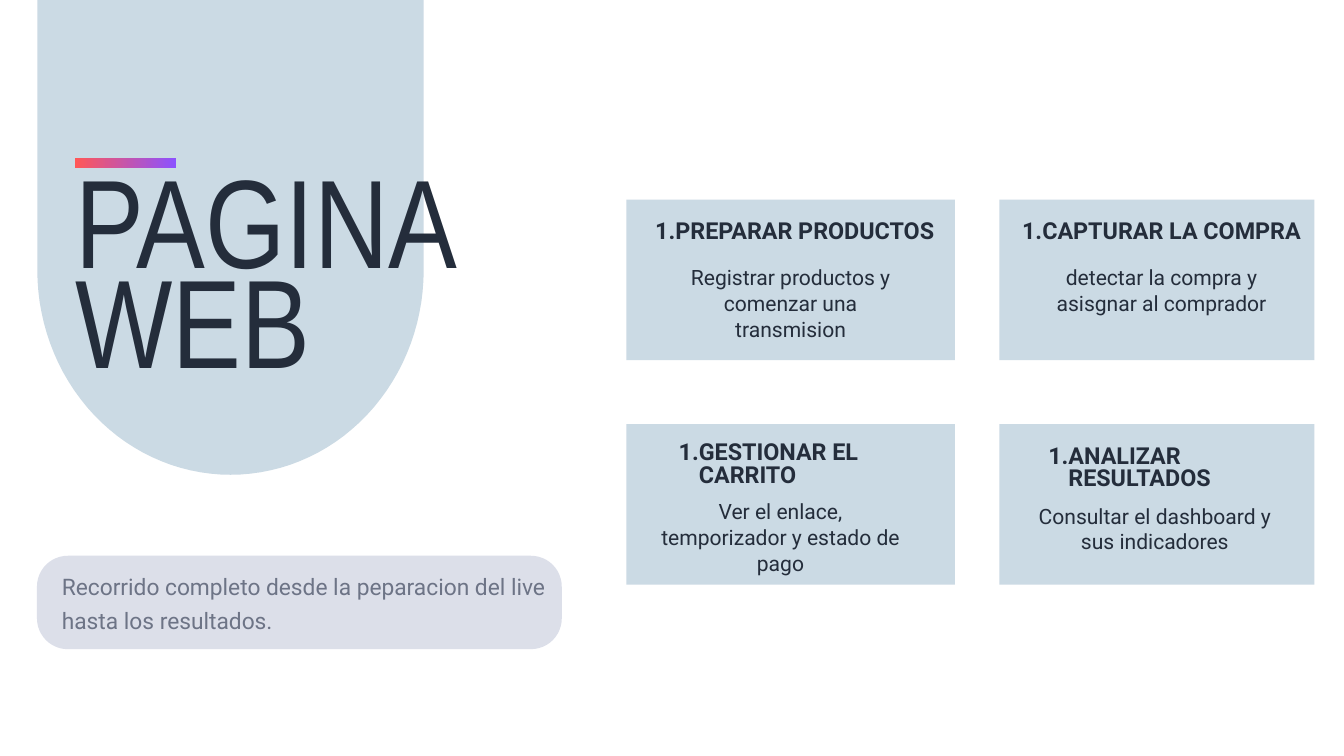
from dataclasses import dataclass
from math import cos, pi, sin

from lxml.etree import SubElement
from pptx import Presentation
from pptx.dml.color import RGBColor
from pptx.enum.shapes import MSO_SHAPE
from pptx.enum.text import MSO_AUTO_SIZE, PP_ALIGN
from pptx.oxml.ns import qn
from pptx.util import Inches, Pt


@dataclass(frozen=True)
class TextStyle:
    font: str
    size: float
    leading: float
    bold: bool = False
    align: PP_ALIGN = PP_ALIGN.LEFT
    numbered: bool = False


@dataclass(frozen=True)
class Theme:
    ink: str = "242D3B"
    panel: str = "CBDAE4"
    pill: str = "B9BED4"
    pill_opacity: int = 49
    accent: tuple = ("FF5757", "8C52FF")
    title: TextStyle = TextStyle("Arial Narrow", 134.8, 107.8)
    summary: TextStyle = TextStyle("Roboto", 24.4, 36.6)
    heading: TextStyle = TextStyle("Roboto", 25, 24.3, bold=True, numbered=True)
    body: TextStyle = TextStyle("Roboto", 22.6, 27.6, align=PP_ALIGN.CENTER)


@dataclass(frozen=True)
class Area:
    column: float
    row: float
    columns: float
    rows: float

    def lengths(self) -> list:
        return [Inches(n * CELL) for n in (self.column, self.row, self.columns, self.rows)]


@dataclass(frozen=True)
class Step:
    column: int
    row: int
    heading: str
    heading_area: Area
    body: str
    body_area: Area


CELL = 1
GRID_COLUMNS, GRID_ROWS = 20, 11.25
THEME = Theme()
CARD_COLUMNS = ((9.32, 4.89), (14.87, 4.69))
CARD_ROWS = (2.97, 6.31)
CARD_HEIGHT = 2.39

STEPS = (
    Step(0, 0, "PREPARAR PRODUCTOS", Area(9.46, 3.3, 4.61, 0.36),
         "Registrar productos y comenzar una transmision", Area(9.93, 3.93, 3.67, 1.14)),
    Step(1, 0, "CAPTURAR LA COMPRA", Area(14.92, 3.3, 4.48, 0.36),
         "detectar la compra y asisgnar al comprador", Area(15.45, 3.93, 3.67, 0.77)),
    Step(0, 1, "GESTIONAR EL CARRITO", Area(9.81, 6.59, 4.25, 0.69),
         "Ver el enlace, temporizador y estado de pago", Area(9.78, 7.41, 3.67, 1.14)),
    Step(1, 1, "ANALIZAR RESULTADOS", Area(15.31, 6.64, 4.25, 0.69),
         "Consultar el dashboard y sus indicadores", Area(15.35, 7.48, 3.67, 0.77)),
)


def paint(shape, color: str) -> None:
    shape.shadow.inherit = False
    shape.line.fill.background()
    shape.fill.solid()
    shape.fill.fore_color.rgb = RGBColor.from_string(color)


def add_panel(page, area: Area, color: str, kind=MSO_SHAPE.RECTANGLE):
    panel = page.shapes.add_shape(kind, *area.lengths())
    paint(panel, color)
    return panel


def add_capsule(page, area: Area, end_columns: float, steps: int = 60) -> None:
    half_height = area.rows / 2
    middle = area.row + half_height
    ends = ((area.column + area.columns - end_columns, -pi / 2),
            (area.column + end_columns, pi / 2))
    points = [
        (center + end_columns * cos(start + pi * i / steps),
         middle + half_height * sin(start + pi * i / steps))
        for center, start in ends
        for i in range(steps + 1)
    ]
    builder = page.shapes.build_freeform(*points[0], scale=Inches(CELL))
    builder = page.shapes.build_freeform(
        round(points[0][0] * 1000), round(points[0][1] * 1000), scale=Inches(CELL) / 1000)
    builder.add_line_segments([(round(x * 1000), round(y * 1000)) for x, y in points[1:]])
    capsule = builder.convert_to_shape()
    capsule.rotation = 270
    paint(capsule, THEME.panel)


def add_accent(page, area: Area) -> None:
    accent = add_panel(page, area, THEME.accent[0])
    accent.fill.gradient()
    accent.fill.gradient_angle = 0
    for stop, color in zip(accent.fill.gradient_stops, THEME.accent):
        stop.color.rgb = RGBColor.from_string(color)


def add_pill(page, area: Area) -> None:
    pill = add_panel(page, area, THEME.pill, MSO_SHAPE.ROUNDED_RECTANGLE)
    pill.adjustments[0] = 0.33
    color = next(pill.fill._xPr.iter(qn("a:srgbClr")))
    SubElement(color, qn("a:alpha"), val=str(THEME.pill_opacity * 1000))


def add_text(page, area: Area, text: str, style: TextStyle) -> None:
    box = page.shapes.add_textbox(*area.lengths())
    frame = box.text_frame
    frame.margin_left = frame.margin_top = frame.margin_right = frame.margin_bottom = 0
    frame.word_wrap = True
    frame.auto_size = MSO_AUTO_SIZE.SHAPE_TO_FIT_TEXT
    frame.text = text
    para = frame.paragraphs[0]
    para.alignment = style.align
    para.line_spacing = Pt(style.leading)
    if style.numbered:
        para.level = 1
        properties = para._p.get_or_add_pPr()
        properties.set("marL", str(Inches(0.59)))
        properties.set("indent", str(Inches(-0.3)))
        SubElement(properties, qn("a:buAutoNum"), type="arabicPeriod")
    for span in para.runs:
        span.font.name = style.font
        span.font.size = Pt(style.size)
        span.font.bold = style.bold
        span.font.color.rgb = RGBColor.from_string(THEME.ink)


def add_step(page, step: Step) -> None:
    column, columns = CARD_COLUMNS[step.column]
    add_panel(page, Area(column, CARD_ROWS[step.row], columns, CARD_HEIGHT), THEME.panel)
    add_text(page, step.heading_area, step.heading, THEME.heading)
    add_text(page, step.body_area, step.body, THEME.body)


def main() -> None:
    deck = Presentation()
    deck.slide_width = Inches(GRID_COLUMNS * CELL)
    deck.slide_height = Inches(GRID_ROWS * CELL)
    page = deck.slides.add_slide(deck.slide_layouts[6])

    add_capsule(page, Area(-2.66, -1.9, 12.18, 5.75), end_columns=3.05)
    add_accent(page, Area(1.12, 2.35, 1.5, 0.15))
    add_text(page, Area(0.92, 8.42, 7.74, 0.99),
             "Recorrido completo desde la peparacion del live hasta los resultados.", THEME.summary)
    add_pill(page, Area(0.55, 8.27, 7.81, 1.39))
    add_text(page, Area(1.12, 2.87, 6.67, 3.45), "PAGINA WEB", THEME.title)
    for step in STEPS:
        add_step(page, step)

    deck.save("out.pptx")


if __name__ == "__main__":
    main()
